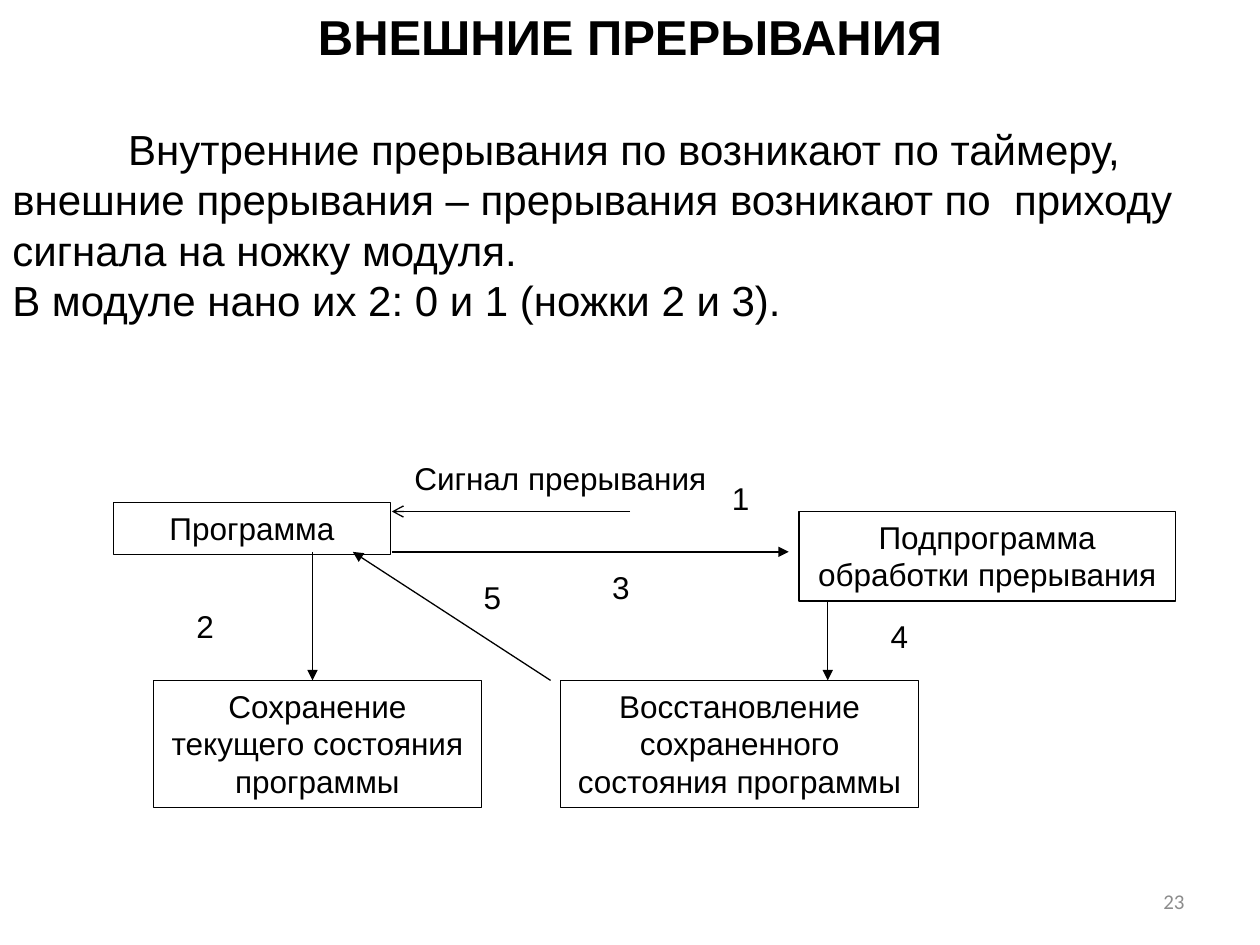
"""Build a slide on external interrupts with a five-step flow diagram."""
from dataclasses import dataclass

from lxml import etree
from pptx import Presentation
from pptx import util as u
from pptx.dml.color import RGBColor
from pptx.enum import shapes, text
from pptx.oxml.ns import qn


@dataclass(frozen=True)
class Theme:
    ink: str = "000000"
    muted: str = "8C8C8C"
    font: str = "Arial"
    number_font: str = "Calibri"
    title: int = 28
    body: int = 24
    label: int = 18
    number: int = 12
    line: float = 0.75


THEME = Theme()
WIDTH, HEIGHT = u.Inches(10), u.Inches(7.5)
LEFT, CENTER, RIGHT = text.PP_ALIGN.LEFT, text.PP_ALIGN.CENTER, text.PP_ALIGN.RIGHT

# Places are percent of the slide: left, top, width, height.
TITLE = ("ВНЕШНИЕ ПРЕРЫВАНИЯ", (0, 0, 100, 7.6))
BODY = ([
    ("Внутренние прерывания по возникают по таймеру, ", CENTER),
    ("внешние прерывания – прерывания возникают по  приходу сигнала на ножку модуля.", LEFT),
    ("В модуле нано их 2: 0 и 1 (ножки 2 и 3).", LEFT),
], (0, 12.4, 100, 22.7))
PAGE = ("23", (71.7, 92.67, 23.3, 5.33))

PROGRAM_Y, SIGNAL_Y, CALL_Y, HANDLER_END_Y, STATE_Y = 53.2, 54.13, 58.4, 63.6, 72
STEPS = [
    ("Программа", (9, PROGRAM_Y, 22, 5.47)),
    ("Сохранение текущего состояния программы", (12.2, STATE_Y, 26, 13.47)),
    ("Подпрограмма обработки прерывания", (63.4, SIGNAL_Y, 29.9, 9.47)),
    ("Восстановление сохраненного состояния программы", (44.5, STATE_Y, 28.4, 13.47)),
]
LABELS = [
    ("Сигнал прерывания", 31.9, 47.87, 32.3),
    ("1", 57.1, 50, 4.7),
    ("2", 14.6, 63.6, 4.7),
    ("3", 47.6, 59.47, 5.5),
    ("4", 69.7, 64.67, 7.9),
    ("5", 37.4, 60.53, 5.5),
]
LABEL_HEIGHT = 5.33
ARROWS = [
    ((50, SIGNAL_Y), (31.1, SIGNAL_Y), "arrow"),
    ((24.8, CALL_Y), (24.8, STATE_Y), "triangle"),
    ((31.1, CALL_Y), (62.6, CALL_Y), "triangle"),
    ((65.7, HANDLER_END_Y), (65.7, STATE_Y), "triangle"),
    ((43.7, STATE_Y), (28, CALL_Y), "triangle"),
]


def point(x, y):
    return round(WIDTH * x / 100), round(HEIGHT * y / 100)


def area(place):
    return *point(*place[:2]), *point(*place[2:])


def write(shape, content, size=THEME.label, align=LEFT, font=THEME.font,
          color=THEME.ink, bold=False, anchor=text.MSO_ANCHOR.TOP):
    frame = shape.text_frame
    frame.word_wrap = True
    frame.auto_size = text.MSO_AUTO_SIZE.NONE
    frame.vertical_anchor = anchor
    paragraphs = [(content, align)] if isinstance(content, str) else content
    for index, (words, alignment) in enumerate(paragraphs):
        paragraph = frame.add_paragraph() if index else frame.paragraphs[0]
        paragraph.alignment = alignment
        run = paragraph.add_run()
        run.text = words
        run.font.name, run.font.size, run.font.bold = font, u.Pt(size), bold
        run.font.color.rgb = RGBColor.from_string(color)


def outline(line):
    line.color.rgb = RGBColor.from_string(THEME.ink)
    line.width = u.Pt(THEME.line)


def add_label(slide, content, place, **style):
    write(slide.shapes.add_textbox(*area(place)), content, **style)


def add_step(slide, content, place):
    step = slide.shapes.add_shape(shapes.MSO_SHAPE.RECTANGLE, *area(place))
    step.shadow.inherit = False
    step.fill.background()
    outline(step.line)
    write(step, content, align=CENTER)


def add_arrow(slide, start, end, tip):
    arrow = slide.shapes.add_connector(
        shapes.MSO_CONNECTOR.STRAIGHT, *point(*start), *point(*end))
    outline(arrow.line)
    etree.SubElement(arrow.line._get_or_add_ln(), qn("a:tailEnd"), type=tip)
    etree.SubElement(arrow._element.spPr, qn("a:effectLst"))


def main():
    deck = Presentation()
    deck.slide_width, deck.slide_height = WIDTH, HEIGHT
    slide = deck.slides.add_slide(deck.slide_layouts[5])

    heading, place = TITLE
    title = slide.shapes.title
    title.left, title.top, title.width, title.height = area(place)
    write(title, heading, size=THEME.title, align=CENTER, bold=True)

    add_label(slide, *BODY, size=THEME.body)
    add_label(slide, *PAGE, size=THEME.number, align=RIGHT, font=THEME.number_font,
              color=THEME.muted, anchor=text.MSO_ANCHOR.MIDDLE)
    for step in STEPS:
        add_step(slide, *step)
    for arrow in ARROWS:
        add_arrow(slide, *arrow)
    for words, *place in LABELS:
        add_label(slide, words, (*place, LABEL_HEIGHT))

    deck.save("out.pptx")


if __name__ == "__main__":
    main()
